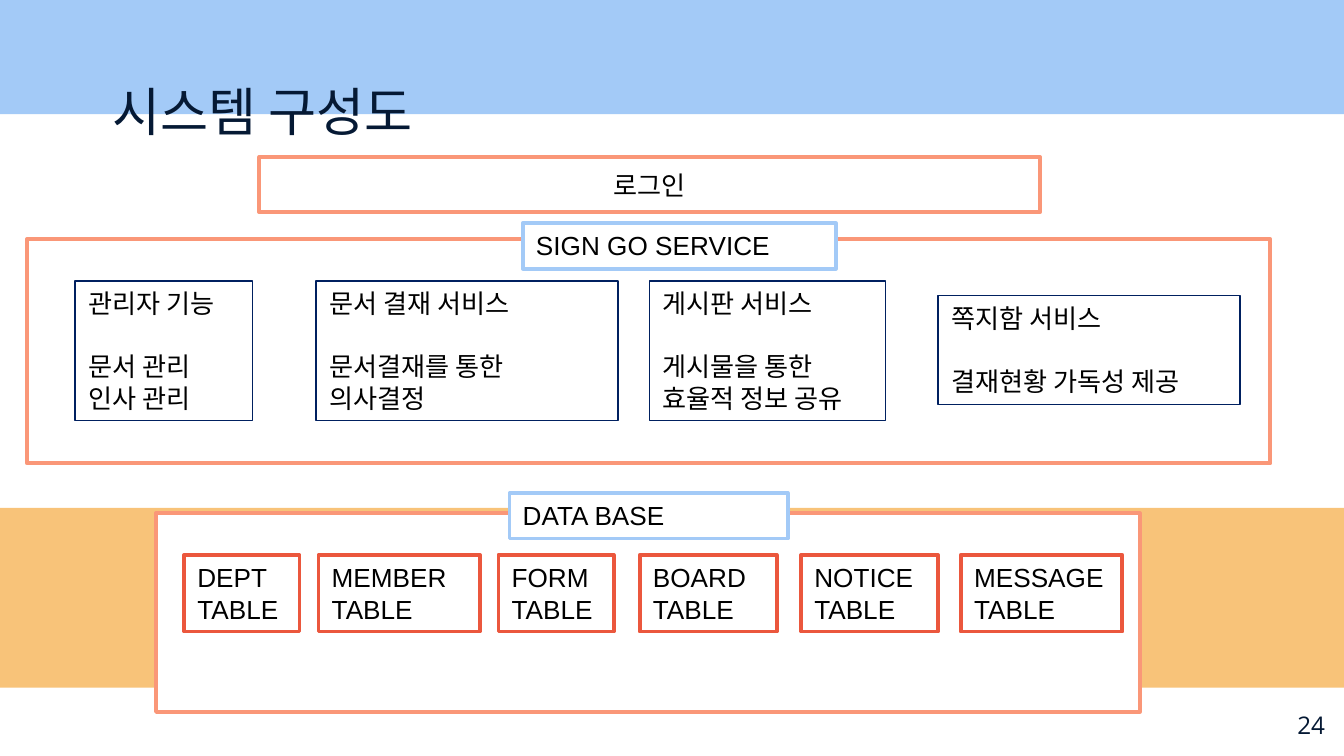
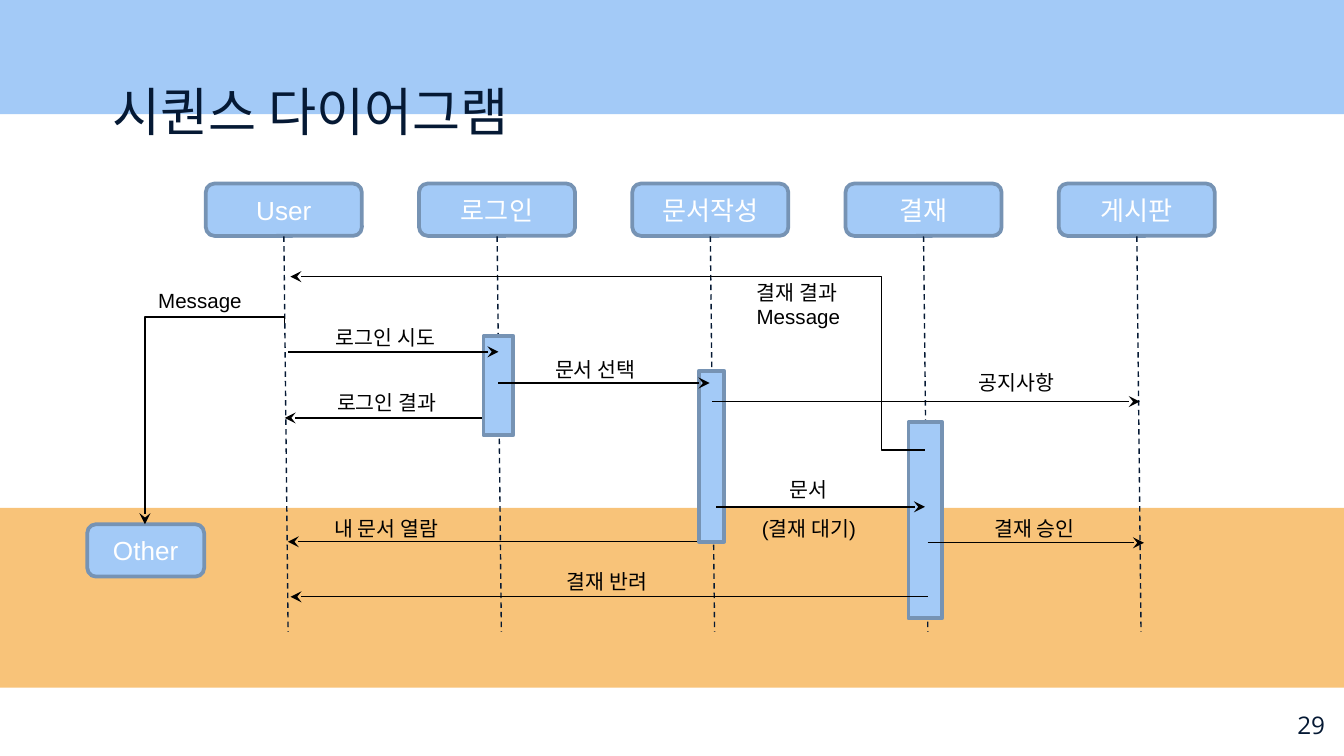
from typing import NamedTuple

from lxml.etree import SubElement
from pptx import Presentation
from pptx.dml.color import RGBColor
from pptx.enum.dml import MSO_LINE
from pptx.enum.shapes import MSO_CONNECTOR as Link, MSO_SHAPE as Preset
from pptx.enum.text import MSO_ANCHOR as Anchor, PP_ALIGN as Align
from pptx.oxml.ns import qn
from pptx.util import Cm, Pt

COLORS = {
    "sky": "A3CAF7", "sand": "F8C379", "navy": "051934", "white": "FFFFFF",
    "black": "000000", "salmon": "FA9778", "red": "EB573D",
    "service": "002060", "steel": "7693B4",
}
BODY_FONT = "Arial"
NUMBER_FONT = "Open Sans"


class Box(NamedTuple):
    """An area in centimetres."""
    left: float
    top: float
    width: float
    height: float

    def inner(self, dx, dy, width, height):
        return Box(self.left + dx, self.top + dy, width, height)

    def point(self, dx, dy):
        return self.left + dx, self.top + dy

    def lengths(self):
        return [Cm(value) for value in self]


SLIDE = Box(0, 0, 25.4, 14.29)


def rgb(name):
    return RGBColor.from_string(COLORS[name])


def write(frame, text, size, color="black", font=BODY_FONT,
          align=Align.LEFT, anchor=Anchor.TOP):
    frame.text = text
    frame.word_wrap = True
    frame.vertical_anchor = anchor
    for paragraph in frame.paragraphs:
        paragraph.alignment = align
        for run in paragraph.runs:
            run.font.size = Pt(size)
            run.font.name = font
            run.font.color.rgb = rgb(color)


def add_panel(slide, box, fill=None, line=None, weight=2, preset=Preset.RECTANGLE):
    panel = slide.shapes.add_shape(preset, *box.lengths())
    panel.shadow.inherit = False
    if fill:
        panel.fill.solid()
        panel.fill.fore_color.rgb = rgb(fill)
    else:
        panel.fill.background()
    if line:
        panel.line.color.rgb = rgb(line)
        panel.line.width = Pt(weight)
    else:
        panel.line.fill.background()
    return panel


def add_text(slide, box, text, size, inset=None, **style):
    frame = slide.shapes.add_textbox(*box.lengths()).text_frame
    write(frame, text, size, **style)
    if inset is not None:
        frame.margin_left = frame.margin_right = Cm(inset)
        frame.margin_top = frame.margin_bottom = Cm(inset)


def add_line(slide, start, end, kind=Link.STRAIGHT, color="black", arrow=True, bend=None):
    """Draw a solid arrow or a dashed line; bend places an elbow, in 1/100000."""
    line = slide.shapes.add_connector(kind, *[Cm(value) for value in (*start, *end)])
    line.line.color.rgb = rgb(color)
    line.line.width = Pt(0.75)
    properties = line._element.spPr
    if arrow:
        SubElement(properties.find(qn("a:ln")), qn("a:tailEnd"), type="stealth")
    else:
        line.line.dash_style = MSO_LINE.DASH
    if bend is not None:
        guides = properties.find(qn("a:prstGeom")).get_or_add_avLst()
        SubElement(guides, qn("a:gd"), name="adj1", fmla=f"val {bend}")
    SubElement(properties, qn("a:effectLst"))
    return line


def add_upright_elbow(slide, start, end, bend):
    """Draw an elbow that leaves and arrives vertically: a quarter-turned connector."""
    (x1, y1), (x2, y2) = start, end
    mid_x, mid_y = (x1 + x2) / 2, (y1 + y2) / 2
    half_run, half_rise = (y2 - y1) / 2, (x1 - x2) / 2
    elbow = add_line(slide, (mid_x - half_run, mid_y - half_rise),
                     (mid_x + half_run, mid_y + half_rise), Link.ELBOW, bend=bend)
    elbow._element.spPr.find(qn("a:xfrm")).set("rot", str(90 * 60000))


def add_base(deck, title, number):
    """Add a slide with its bands, title and page number."""
    slide = deck.slides.add_slide(deck.slide_layouts[6])
    add_panel(slide, SLIDE.inner(0, 9.6, SLIDE.width, 3.4), "sand")
    add_panel(slide, SLIDE.inner(0, 0, SLIDE.width, 2.16), "sky")
    add_text(slide, SLIDE.inner(1.88, 1.24, 19.63, 1.6), title, 28, 0.25, color="navy")
    add_text(slide, SLIDE.inner(23.77, 13.18, 1.52, 1.09), number, 13, 0.25,
             color="navy", font=NUMBER_FONT, align=Align.RIGHT)
    return slide


def add_login(slide, box):
    login = add_panel(slide, box, "white", "salmon")
    write(login.text_frame, "로그인", 14, align=Align.CENTER, anchor=Anchor.MIDDLE)


def add_group(slide, box, tag, tag_box):
    """Draw a group's frame with its name on the top edge."""
    add_panel(slide, box, "white", "salmon")
    name = add_panel(slide, tag_box, "white", "sky")
    write(name.text_frame, tag, 14)


def add_services(slide, box):
    add_group(slide, box, "SIGN GO SERVICE", box.inner(9.37, -0.3, 5.92, 0.86))
    services = [
        (0.91, 0.79, 3.35, 2.64, "관리자 기능", "문서 관리 인사 관리"),
        (5.46, 0.79, 5.71, 2.64, "문서 결재 서비스", "문서결재를 통한 의사결정"),
        (11.76, 0.79, 4.47, 2.64, "게시판 서비스", "게시물을 통한 효율적 정보 공유"),
        (17.22, 1.07, 5.71, 2.06, "쪽지함 서비스", "결재현황 가독성 제공"),
    ]
    for *place, heading, detail in services:
        service = add_panel(slide, box.inner(*place), line="service", weight=0.75)
        write(service.text_frame, f"{heading}\n{detail}", 14)
        service.text_frame.paragraphs[0].space_after = Pt(17)


def add_database(slide, box):
    add_group(slide, box, "DATA BASE", box.inner(6.68, -0.38, 5.26, 0.86))
    tables = [
        (0.53, 2.18, "DEPT\nTABLE"), (3.07, 3.05, "MEMBER\nTABLE"),
        (6.47, 2.18, "FORM\nTABLE"), (9.14, 2.59, "BOARD TABLE"),
        (12.19, 2.59, "NOTICE\nTABLE"), (15.21, 3.05, "MESSAGE\nTABLE"),
    ]
    for left, width, label in tables:
        table = add_panel(slide, box.inner(left, 0.79, width, 1.45), "white", "red")
        write(table.text_frame, label, 14)


def add_actor(slide, box, name):
    actor = add_panel(slide, box, "sky", "steel", preset=Preset.ROUNDED_RECTANGLE)
    write(actor.text_frame, name, 14, "white", align=Align.CENTER, anchor=Anchor.MIDDLE)


def add_lifelines(slide, box):
    pitch, width, height = 4.03, 2.95, 0.99
    for column, name in enumerate(["User", "로그인", "문서작성", "결재", "게시판"]):
        left = 2.24 + column * pitch
        center = left + width / 2
        add_actor(slide, box.inner(left, 0.02, width, height), name)
        add_line(slide, box.point(center, 1.02), box.point(center + 0.08, 8.49),
                 color="navy", arrow=False)


def add_arrows(slide, box, arrows):
    for start, end, y in arrows:
        add_line(slide, box.point(start, y), box.point(end, y))


def add_activations(slide, box):
    replies_behind_bars = [(7.77, 3.73, 4.45), (11.81, 3.79, 6.79)]
    add_arrows(slide, box, replies_behind_bars)
    for bar in [(7.49, 2.9, 0.56, 1.88), (11.56, 3.56, 0.48, 3.23), (15.52, 4.53, 0.64, 3.71)]:
        add_panel(slide, box.inner(*bar), "sky", "steel")


def add_messages(slide, box):
    add_arrows(slide, box, [
        (3.79, 7.77, 3.2), (7.77, 11.76, 3.79), (11.81, 19.89, 4.14),
        (11.89, 15.83, 6.13), (15.88, 19.97, 6.81), (15.88, 3.84, 7.83),
    ])
    add_line(slide, box.point(15.83, 5.06), box.point(3.84, 1.78), Link.ELBOW, bend=6800)
    add_upright_elbow(slide, box.point(3.73, 2.65), box.point(1.09, 6.46), bend=-2900)
    labels = [
        (4.45, 2.57, "로그인 시도"), (4.47, 3.79, "로그인 결과"),
        (8.59, 3.18, "문서 선택"), (16.59, 3.41, "공지사항"),
        (13.03, 5.44, "문서"), (12.5, 6.18, "(결재 대기)"),
        (4.42, 6.18, "내 문서 열람"), (16.89, 6.18, "결재 승인"),
        (8.81, 7.19, "결재 반려"), (1.09, 1.86, "Message"),
        (12.4, 1.71, "결재 결과\nMessage"),
    ]
    for left, top, label in labels:
        height = 1.19 if "\n" in label else 0.74
        add_text(slide, box.inner(left, top, 2.59, height), label, 11)


def add_architecture_slide(deck):
    slide = add_base(deck, "시스템 구성도", "24")
    add_login(slide, SLIDE.inner(4.9, 2.97, 14.76, 1.04))
    add_services(slide, SLIDE.inner(0.51, 4.52, 23.5, 4.24))
    add_database(slide, SLIDE.inner(2.95, 9.7, 18.59, 3.76))


def add_sequence_slide(deck):
    slide = add_base(deck, "시퀀스 다이어그램", "29")
    diagram = SLIDE.inner(1.65, 3.45, 21.3, 8.5)
    add_lifelines(slide, diagram)
    add_activations(slide, diagram)
    add_actor(slide, diagram.inner(0, 6.46, 2.21, 0.99), "Other")
    add_messages(slide, diagram)


def main():
    deck = Presentation()
    deck.slide_width = Cm(SLIDE.width)
    deck.slide_height = Cm(SLIDE.height)
    add_architecture_slide(deck)
    add_sequence_slide(deck)
    deck.save("out.pptx")


if __name__ == "__main__":
    main()
